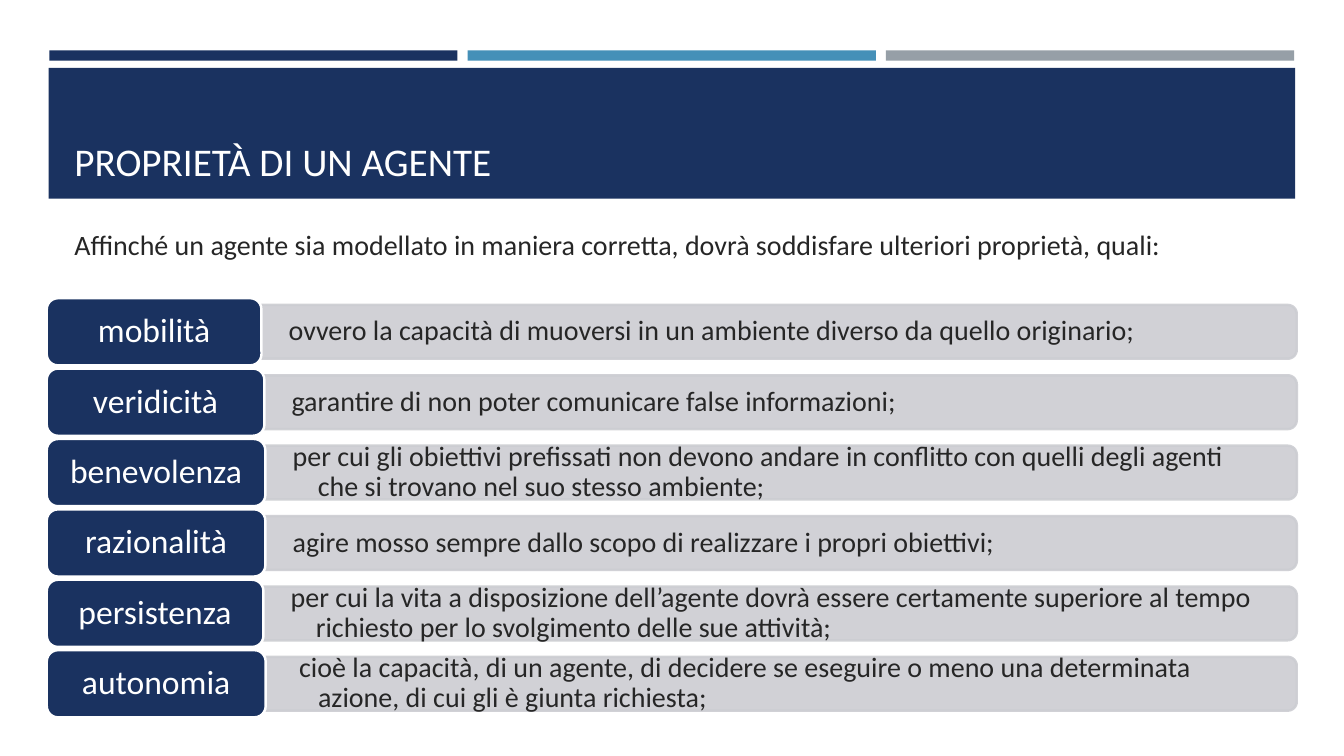
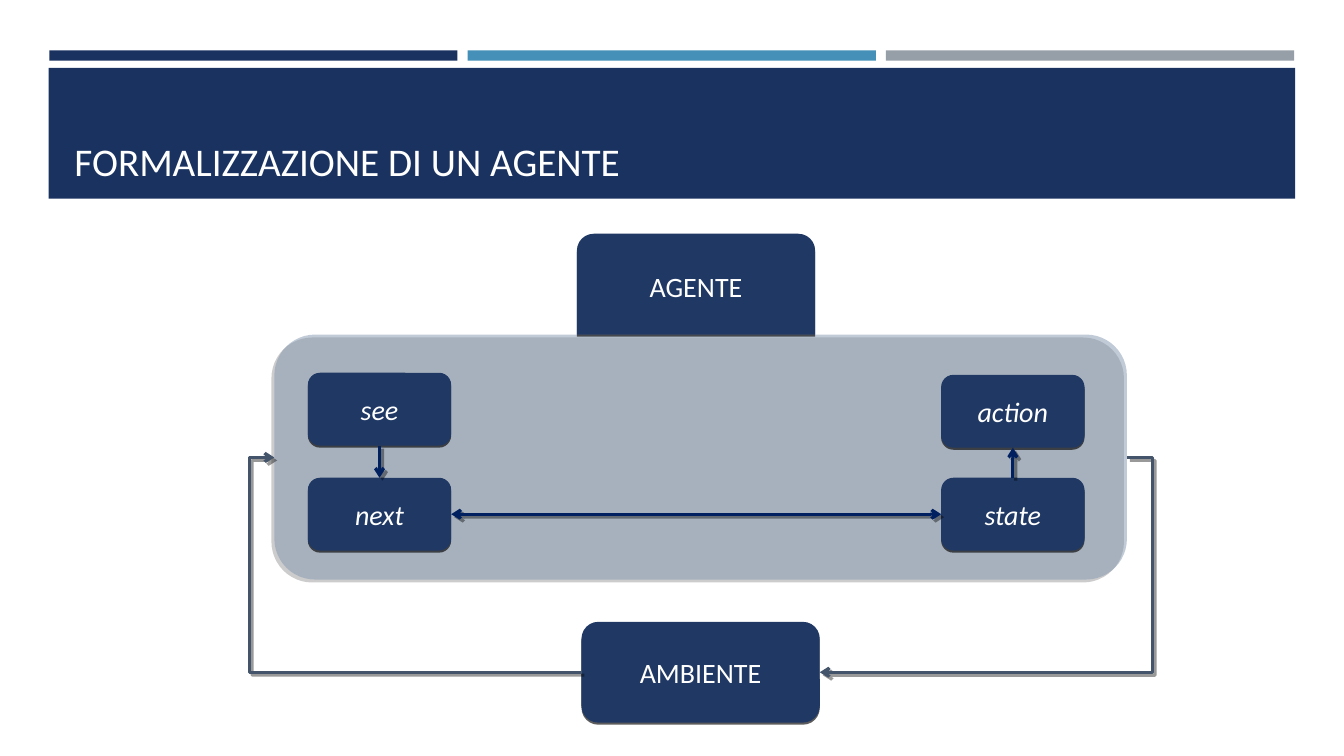
"""Build two slides on the properties and the formalization of an agent."""
from math import cos, pi, sin

from lxml.etree import SubElement
from pptx import Presentation
from pptx.dml.color import RGBColor
from pptx.enum.shapes import MSO_CONNECTOR as Link, MSO_SHAPE as Preset
from pptx.enum.text import MSO_ANCHOR as Anchor, MSO_AUTO_SIZE as AutoSize, PP_ALIGN as Align
from pptx.oxml.ns import qn
from pptx.util import Pt

NAVY = RGBColor(0x1A, 0x32, 0x60)
BLUE = RGBColor(0x45, 0x90, 0xB8)
GRAY = RGBColor(0x96, 0x9F, 0xA7)
PALE = RGBColor(0xCC, 0xCD, 0xD2)
STEEL = RGBColor(0x84, 0x97, 0xB0)
DEEP = RGBColor(0x20, 0x38, 0x64)
SLATE = RGBColor(0x44, 0x54, 0x6A)
INK = RGBColor(0x00, 0x20, 0x60)
TEXT = RGBColor(0x26, 0x26, 0x26)
WHITE = RGBColor(0xFF, 0xFF, 0xFF)


def write(shape, text, size=20, color=WHITE, italic=False, align=Align.CENTER,
          anchor=Anchor.MIDDLE, spacing=1.0, insets=(7.2, 3.6, 7.2, 3.6), hanging=0):
    frame = shape.text_frame
    frame.word_wrap = True
    frame.auto_size = AutoSize.NONE
    frame.vertical_anchor = anchor
    (frame.margin_left, frame.margin_top,
     frame.margin_right, frame.margin_bottom) = map(Pt, insets)
    paragraph = frame.paragraphs[0]
    if hanging:
        properties = paragraph._p.get_or_add_pPr()
        properties.set("marL", str(Pt(hanging)))
        properties.set("indent", str(-Pt(hanging)))
    paragraph.alignment = align
    paragraph.line_spacing = spacing
    run = paragraph.add_run()
    run.text = text
    run.font.name = "Calibri"
    run.font.size = Pt(size)
    run.font.italic = italic
    run.font.color.rgb = color


def add_element(parent, tag, **attributes):
    return SubElement(parent, qn(tag), {key: str(value) for key, value in attributes.items()})


deck = Presentation()
deck.slide_width, deck.slide_height = Pt(960), Pt(540)
layout = deck.slide_layouts[5]
layout_title = layout.placeholders[0]
layout_title.left, layout_title.top = Pt(46), Pt(55.4)
layout_title.width, layout_title.height = Pt(868), Pt(80)

slides = []
for heading in ("PROPRIETÀ DI UN AGENTE", "FORMALIZZAZIONE DI UN AGENTE"):
    slide = deck.slides.add_slide(layout)
    write(slide.shapes.title, heading, size=28, align=Align.LEFT, anchor=Anchor.BOTTOM)
    slides.append(slide)
properties_slide, diagram_slide = slides

bands = [(35.2 + 298.8 * index, 36, 291.6, 7.4, color)
         for index, color in enumerate((NAVY, BLUE, GRAY))]
bands.append((34.7, 48.5, 890.4, 93.5, NAVY))
for left, top, width, height, color in bands:
    band = properties_slide.shapes.add_shape(
        Preset.RECTANGLE, Pt(left), Pt(top), Pt(width), Pt(height))
    band.fill.solid()
    band.fill.fore_color.rgb = color
    band.line.fill.background()
    band.shadow.inherit = False
    layout.shapes.element.insert(2, band.element)

intro = properties_slide.shapes.add_textbox(Pt(46), Pt(159), Pt(868), Pt(53))
write(intro, "Affinché un agente sia modellato in maniera corretta, dovrà soddisfare "
      "ulteriori proprietà, quali:", color=TEXT, align=Align.LEFT, anchor=Anchor.TOP)

agent_properties = [
    ("mobilità", 153.4,
     "ovvero la capacità di muoversi in un ambiente diverso da quello originario;"),
    ("veridicità", 155.5, "garantire di non poter comunicare false informazioni;"),
    ("benevolenza", 156.2,
     "per cui gli obiettivi prefissati non devono andare in conflitto con quelli "
     "degli agenti che si trovano nel suo stesso ambiente;"),
    ("razionalità", 156.2, "agire mosso sempre dallo scopo di realizzare i propri obiettivi;"),
    ("persistenza", 154.8,
     "per cui la vita a disposizione dell’agente dovrà essere certamente superiore "
     "al tempo richiesto per lo svolgimento delle sue attività;"),
    ("autonomia", 156.4,
     " cioè la capacità, di un agente, di decidere se eseguire o meno una determinata "
     "azione, di cui gli è giunta richiesta;"),
]
LABEL_LEFT, BAR_RIGHT, BAR_HEIGHT, RADIUS = 33.4, 926.3, 38.4, 6.4
corner = [(RADIUS * (1 - sin(step * pi / 16)), RADIUS * (1 - cos(step * pi / 16)))
          for step in range(9)]
for row, (name, label_width, meaning) in enumerate(agent_properties):
    label_top = 213 + 50.28 * row
    bar_left, bar_top = LABEL_LEFT + label_width, label_top + 4.8
    bar_bottom = bar_top + BAR_HEIGHT
    outline = [(BAR_RIGHT - x, bar_top + y) for x, y in corner]
    outline += [(BAR_RIGHT - x, bar_bottom - y) for x, y in reversed(corner)]
    outline.append((bar_left, bar_bottom))
    builder = properties_slide.shapes.build_freeform(Pt(bar_left), Pt(bar_top))
    builder.add_line_segments([(Pt(x), Pt(y)) for x, y in outline], close=True)
    bar = builder.convert_to_shape()
    label = properties_slide.shapes.add_shape(
        Preset.ROUNDED_RECTANGLE, Pt(LABEL_LEFT), Pt(label_top), Pt(label_width), Pt(48))
    for part, fill, line in ((bar, PALE, PALE), (label, NAVY, WHITE)):
        part.fill.solid()
        part.fill.fore_color.rgb = fill
        part.line.color.rgb = line
        part.line.width = Pt(1.75)
        part.shadow.inherit = False
    for tint in bar.element.spPr.iter(qn("a:srgbClr")):
        add_element(tint, "a:alpha", val=90000)
    write(bar, meaning, color=TEXT, align=Align.LEFT, spacing=0.9,
          insets=(19.4, 0, 21.6, 0), hanging=18)
    write(label, name, size=24, spacing=0.9, insets=(9.4, 5.8, 9.4, 5.8))

shadows = []
panel = diagram_slide.shapes.add_shape(
    Preset.ROUNDED_RECTANGLE, Pt(196), Pt(239), Pt(609), Pt(175))
panel.fill.solid()
panel.fill.fore_color.rgb = STEEL
add_element(next(panel.element.spPr.iter(qn("a:srgbClr"))), "a:alpha", val=50000)
panel.line.fill.background()
shadows.append((panel, 40, 3, 135))

LARGE, SMALL = (170.2, 72), (102.4, 52)
boxes = {}
for name, preset, left, top, (width, height) in (
        ("AMBIENTE", Preset.ROUNDED_RECTANGLE, 415.4, 444.2, LARGE),
        ("see", Preset.ROUNDED_RECTANGLE, 219.9, 266.3, SMALL),
        ("action", Preset.ROUNDED_RECTANGLE, 672.3, 267.8, SMALL),
        ("next", Preset.ROUNDED_RECTANGLE, 219.9, 341.3, SMALL),
        ("state", Preset.ROUNDED_RECTANGLE, 672.3, 341.3, SMALL),
        ("AGENTE", Preset.ROUND_2_SAME_RECTANGLE, 412.1, 167, LARGE)):
    box = diagram_slide.shapes.add_shape(preset, Pt(left), Pt(top), Pt(width), Pt(height))
    box.fill.solid()
    box.fill.fore_color.rgb = DEEP
    box.line.fill.background()
    write(box, name, italic=name.islower())
    boxes[name] = box
    shadows.append((box, 63, 1.5, 90))

arrows = []
for start, end, bend in (((805, 326.8), (585.6, 480.2), -8200),
                         ((415.4, 480.2), (196, 326.8), 108200)):
    loop = diagram_slide.shapes.add_connector(Link.ELBOW, *map(Pt, start + end))
    guides = next(loop.element.spPr.iter(qn("a:avLst")))
    add_element(guides, "a:gd", name="adj1", fmla=f"val {bend}")
    arrows.append((loop, SLATE, False))
for source, source_side, target, target_side, two_way in (
        ("state", 0, "action", 2, False),
        ("next", 3, "state", 1, True),
        ("see", 2, "next", 0, False)):
    flow = diagram_slide.shapes.add_connector(Link.STRAIGHT, 0, 0, 0, 0)
    flow.begin_connect(boxes[source], source_side)
    flow.end_connect(boxes[target], target_side)
    arrows.append((flow, INK, two_way))

for arrow, color, two_way in arrows:
    arrow.line.color.rgb = color
    arrow.line.width = Pt(2.25)
    stroke = arrow.element.spPr.find(qn("a:ln"))
    if two_way:
        add_element(stroke, "a:headEnd", type="arrow")
    add_element(stroke, "a:tailEnd", type="arrow")
    shadows.append((arrow, 40, 3, 45))

for caster, opacity, distance, angle in shadows:
    effects = add_element(caster.element.spPr, "a:effectLst")
    shadow = add_element(effects, "a:outerShdw", blurRad=0, dist=Pt(distance),
                         dir=angle * 60000, algn="ctr", rotWithShape=0)
    shade = add_element(shadow, "a:srgbClr", val="000000")
    add_element(shade, "a:alpha", val=opacity * 1000)

deck.save("out.pptx")
